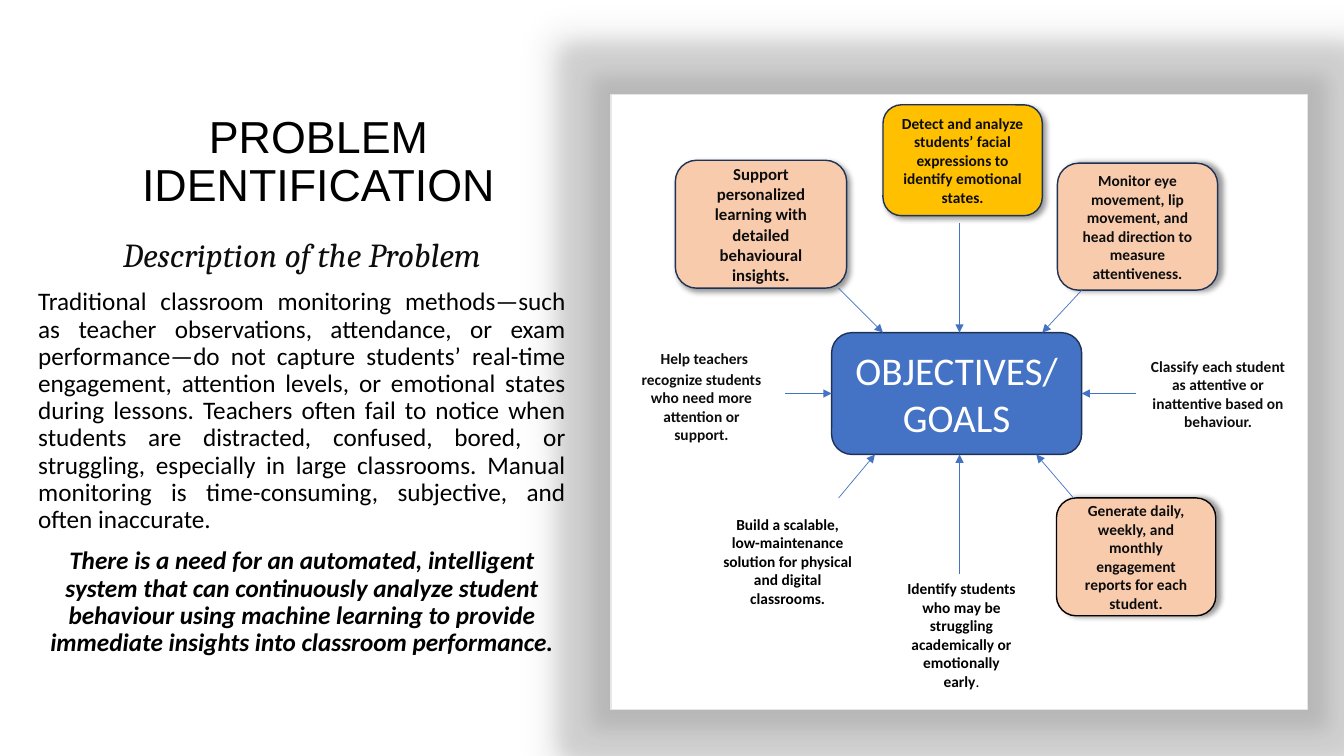
from lxml import etree
from pptx import Presentation
from pptx.dml.color import RGBColor
from pptx.enum.shapes import MSO_CONNECTOR, MSO_SHAPE
from pptx.enum.text import MSO_ANCHOR, PP_ALIGN
from pptx.oxml import parse_xml
from pptx.oxml.ns import nsdecls, qn
from pptx.util import Pt

CENTER, JUSTIFY = PP_ALIGN.CENTER, PP_ALIGN.JUSTIFY
TOP, MIDDLE, BOTTOM = MSO_ANCHOR.TOP, MSO_ANCHOR.MIDDLE, MSO_ANCHOR.BOTTOM
LEFT_SIDE, RIGHT_SIDE = 1, 3

BLACK, INK, WHITE = "000000", "0D0D0D", "FFFFFF"
NAVY, BLUE, PEACH, GOLD = "1E3256", "4472C4", "F8CBAD", "FFC000"

TITLE = "PROBLEM IDENTIFICATION"
# text, size, font, colour, alignment, bold, italic
DESCRIPTION = [
    ("Description of the Problem", 24, "Cambria", INK, CENTER, False, True),
    ("Traditional classroom monitoring methods—such as teacher observations, "
     "attendance, or exam performance—do not capture students’ real-time engagement, "
     "attention levels, or emotional states during lessons. Teachers often fail to "
     "notice when students are distracted, confused, bored, or struggling, especially "
     "in large classrooms. Manual monitoring is time-consuming, subjective, and often "
     "inaccurate.", 18, "Calibri", BLACK, JUSTIFY, False, False),
    ("There is a need for an automated, intelligent system that can continuously "
     "analyze student behaviour using machine learning to provide immediate insights "
     "into classroom performance.", 18, "Calibri", BLACK, CENTER, True, True),
]

HUB = (594, 237.6, 178.6, 87)
HUB_LINES = ["OBJECTIVES/", "GOALS"]

# left, top, width, height, fill, outline, shadow angle, size, text
CARDS = [
    (630.7, 74.9, 113.8, 79.2, GOLD, NAVY, 45, 11,
     "Detect and analyze students’ facial expressions to identify emotional states."),
    (755.3, 116.6, 114.5, 90.7, PEACH, NAVY, 0, 11,
     "Monitor eye movement, lip movement, and head direction to measure attentiveness."),
    (482.4, 114.5, 122.4, 91.4, PEACH, NAVY, 45, 12,
     "Support personalized learning with detailed behavioural insights."),
    (754.6, 355.7, 113.8, 84.2, PEACH, BLACK, 0, 11,
     "Generate daily, weekly, and monthly engagement reports for each student."),
]

# left, top, width, height, colour, runs of (text, size, bold)
NOTES = [
    (811.4, 251.3, 117.4, 60.5, INK,
     [("Classify each student as attentive or inattentive based on behaviour.", 11, True)]),
    (638.6, 410.4, 96.5, 87.1, BLACK,
     [("Identify students who may be struggling academically or emotionally early", 11, True),
      (".", 11, False)]),
    (446.4, 239, 109.4, 82.1, INK,
     [(" ", 18, False),
      ("Help teachers recognize students who need more attention or support.", 11, True)]),
    (508.3, 364.3, 108.7, 74.2, BLACK,
     [("Build a scalable, low-maintenance solution for physical and digital classrooms.",
       11, True)]),
]

HUB_RIGHT, HUB_BOTTOM = HUB[0] + HUB[2], HUB[1] + HUB[3]
HUB_MIDDLE = HUB[1] + HUB[3] / 2
AXIS = 685.4
# start x, start y, end x, end y, side of the hub joined
ARROWS = [
    (599, 205.9, 630.7, HUB[1], None),
    (AXIS, 159.1, AXIS, HUB[1], None),
    (772.6, 207.4, 744.5, HUB[1], None),
    (560.9, HUB_MIDDLE, HUB[0], HUB_MIDDLE, LEFT_SIDE),
    (599, 355.7, 625, HUB_BOTTOM, None),
    (AXIS, 409.7, AXIS, HUB_BOTTOM, None),
    (766.8, 355.7, 740.2, HUB_BOTTOM, None),
    (811.4, HUB_MIDDLE, HUB_RIGHT, HUB_MIDDLE, RIGHT_SIDE),
]


def rgb(value):
    return RGBColor.from_string(value)


def style(font, size, name, color, bold=False, italic=False):
    font.size, font.name, font.bold, font.italic = Pt(size), name, bold, italic
    font.color.rgb = rgb(color)


def set_frame(shape, anchor):
    frame = shape.text_frame
    frame.word_wrap = True
    frame.vertical_anchor = anchor
    return frame


def add_box(kind, bounds, fill, outline):
    shape = slide.shapes.add_shape(kind, *map(Pt, bounds))
    shape.shadow.inherit = False
    shape.fill.solid()
    shape.fill.fore_color.rgb = rgb(fill)
    shape.line.color.rgb = rgb(outline)
    shape.line.width = Pt(1)
    return shape


def add_text(bounds):
    return set_frame(slide.shapes.add_textbox(*map(Pt, bounds)), TOP)


def effects(shape):
    return shape.element.spPr.find(qn("a:effectLst"))


def add_glow(shape, radius, color, alpha):
    effects(shape).append(parse_xml(
        f'<a:glow {nsdecls("a")} rad="{Pt(radius)}"><a:srgbClr val="{color}">'
        f'<a:alpha val="{alpha * 1000}"/></a:srgbClr></a:glow>'))


def add_shadow(shape, blur, distance, angle, alpha, scale=100):
    effects(shape).append(parse_xml(
        f'<a:outerShdw {nsdecls("a")} blurRad="{Pt(blur)}" dist="{Pt(distance)}" '
        f'dir="{angle * 60000}" sx="{scale * 1000}" sy="{scale * 1000}" algn="ctr" '
        f'rotWithShape="0"><a:srgbClr val="{BLACK}"><a:alpha val="{alpha * 1000}"/>'
        '</a:srgbClr></a:outerShdw>'))


deck = Presentation()
deck.slide_width, deck.slide_height = Pt(960), Pt(540)
slide = deck.slides.add_slide(deck.slide_layouts[5])

panel = add_box(MSO_SHAPE.RECTANGLE, (436.3, 67.7, 497.5, 439.2), WHITE, "E7E6E6")
add_glow(panel, 26, "A5A5A5", 40)
add_shadow(panel, 16, 0, 0, 15, 104)

title = slide.shapes.title
title.left, title.top, title.width, title.height = map(Pt, (59.8, 60.5, 335.5, 94.3))
heading = set_frame(title, BOTTOM).paragraphs[0]
heading.text = TITLE
heading.alignment = CENTER
heading.line_spacing = 0.9
style(heading.font, 32, "Arial", BLACK)

frame = add_text((20.2, 167, 391, 332.6))
for index, (text, size, name, color, alignment, bold, italic) in enumerate(DESCRIPTION):
    para = frame.add_paragraph() if index else frame.paragraphs[0]
    para.text = text
    para.alignment = alignment
    para.line_spacing = 0.9
    para.space_before = Pt(10 if index else 0)
    style(para.font, size, name, color, bold, italic)

for *bounds, fill, outline, angle, size, text in CARDS:
    card = add_box(MSO_SHAPE.ROUNDED_RECTANGLE, bounds, fill, outline)
    add_shadow(card, 4, 3, angle, 40)
    para = set_frame(card, MIDDLE).paragraphs[0]
    para.text = text
    para.alignment = CENTER
    style(para.font, size, "Calibri", INK, True)

hub = add_box(MSO_SHAPE.ROUNDED_RECTANGLE, HUB, BLUE, NAVY)
frame = set_frame(hub, MIDDLE)
frame.text = "\n".join(HUB_LINES)
for para in frame.paragraphs:
    para.alignment = CENTER
    style(para.font, 28, "Calibri", WHITE)

for *bounds, color, runs in NOTES:
    para = add_text(bounds).paragraphs[0]
    para.alignment = CENTER
    for text, size, bold in runs:
        span = para.add_run()
        span.text = text
        style(span.font, size, "Calibri", color, bold)

for *ends, side in ARROWS:
    arrow = slide.shapes.add_connector(MSO_CONNECTOR.STRAIGHT, *map(Pt, ends))
    if side is not None:
        arrow.end_connect(hub, side)
    arrow.line.color.rgb = rgb(BLUE)
    arrow.line.width = Pt(0.5)
    etree.SubElement(arrow.line._get_or_add_ln(), qn("a:tailEnd"), type="triangle")
    etree.SubElement(arrow.element.spPr, qn("a:effectLst"))

deck.save("out.pptx")
